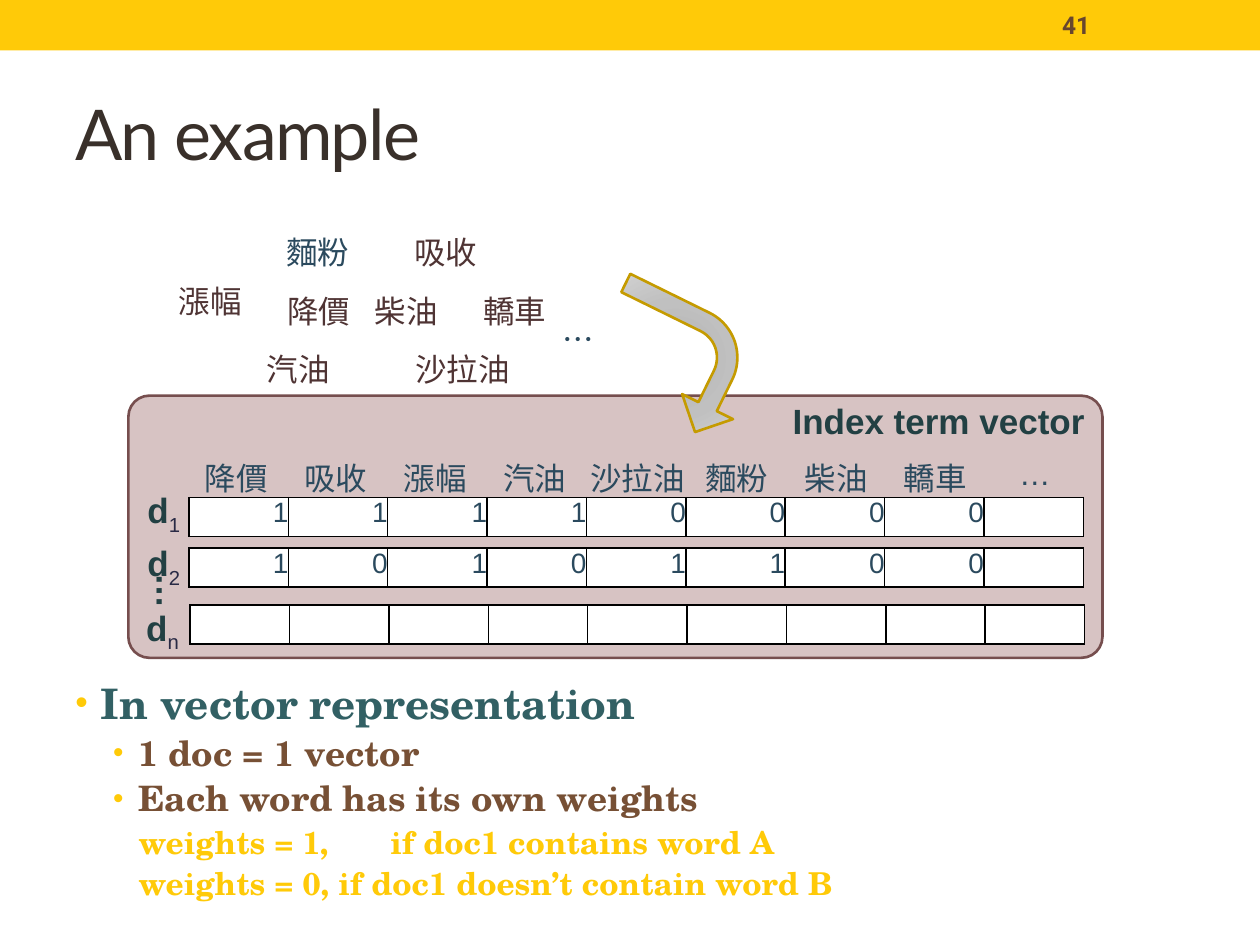
from dataclasses import dataclass
from typing import NamedTuple, Optional

import pptx
import pptx.dml.color
import pptx.enum.shapes
import pptx.enum.text
import pptx.oxml
import pptx.oxml.ns
import pptx.util

Pt = pptx.util.Pt
RGBColor = pptx.dml.color.RGBColor
Align = pptx.enum.text.PP_ALIGN
Anchor = pptx.enum.text.MSO_ANCHOR
Preset = pptx.enum.shapes.MSO_SHAPE
qn = pptx.oxml.ns.qn

GOLD = RGBColor(0xFF, 0xCA, 0x08)
DARK_GOLD = RGBColor(0xC5, 0x9B, 0x00)
TEAL = RGBColor(0x32, 0x60, 0x64)
DARK_TEAL = RGBColor(0x22, 0x40, 0x43)
BROWN = RGBColor(0x77, 0x50, 0x35)
TITLE_BROWN = RGBColor(0x39, 0x30, 0x2A)
NUMBER_BROWN = RGBColor(0x68, 0x46, 0x2E)
WORD_BROWN = RGBColor(0x4F, 0x34, 0x34)
BLUE = RGBColor(0x2B, 0x4A, 0x5E)
NAVY = RGBColor(0x29, 0x2A, 0x45)
ROSE = RGBColor(0xD7, 0xC3, 0xC3)
ROSE_LINE = RGBColor(0x76, 0x4E, 0x4E)
WHITE = RGBColor(0xFF, 0xFF, 0xFF)

ARIAL, CJK, SERIF = "Arial", "Noto Sans CJK SC", "TeX Gyre Schola"
A_NS = 'xmlns:a="http://schemas.openxmlformats.org/drawingml/2006/main"'
PLAIN_TABLE = "{2D5ABB26-0587-4C30-8999-92F81FD0307C}"
COLUMNS, VECTOR_WIDTH = 9, 511.2


class Box(NamedTuple):
    left: float
    top: float
    width: float
    height: float

    def lengths(self):
        return [Pt(value) for value in self]


@dataclass
class Word:
    text: str
    box: Box
    font: str = ARIAL
    color: RGBColor = WORD_BROWN
    align: Align = Align.CENTER


@dataclass
class Point:
    text: str
    size: float
    color: RGBColor
    margin: float = 0
    space_before: float = 0
    bullet: bool = False
    tabs: tuple = ()


@dataclass
class Vector:
    left: float
    top: float
    weights: str
    label: str
    label_left: float
    label_top: float


WORDS = [
    Word("降價", Box(157, 163.4, 51, 29), CJK, align=Align.LEFT),
    Word("吸收", Box(229.7, 129.6, 51, 29), CJK, align=Align.LEFT),
    Word("漲幅", Box(95, 157.7, 51, 29), align=Align.LEFT),
    Word("汽油", Box(145.4, 196.6, 51, 29), align=Align.LEFT),
    Word("沙拉油", Box(229.7, 196.6, 69, 29)),
    Word("麵粉", Box(156.2, 129.6, 51, 29), CJK, BLUE),
    Word("柴油", Box(206.6, 163.4, 51, 29)),
    Word("轎車", Box(268.6, 163.4, 51, 29)),
    Word("…", Box(314.6, 179.3, 29, 29), CJK, BLUE),
]
POINTS = [
    Point("In vector representation", 24, TEAL, 14.4, bullet=True),
    Point("1 doc = 1 vector", 20, BROWN, 36, 2, True),
    Point("Each word has its own weights", 20, BROWN, 36, 2, True),
    Point("\tweights = 1,\tif doc1 contains word A", 18, GOLD, space_before=2.5, tabs=(47.5, 172)),
    Point("\tweights = 0, if doc1 doesn’t contain word B", 18, GOLD, space_before=2, tabs=(46.8,)),
]
TERMS = ["降價 ", "吸收 ", "漲幅 ", "汽油 ", "沙拉油", "麵粉", "柴油", "轎車", "…"]
VECTORS = [
    Vector(108, 284.4, "11110000", "1", 83.5, 279.4),
    Vector(108, 313.2, "10101100", "2", 83.5, 309.6),
    Vector(108.7, 345.6, "", "n", 82.8, 346.3),
]


def write(paragraph, text: str, *, size: float, color: RGBColor, font: str = ARIAL,
          bold: bool = False, tracking: float = 0, baseline: int = 0,
          align: Align = Align.LEFT) -> None:
    """Append formatted text to a paragraph."""
    paragraph.alignment = align
    run = paragraph.add_run()
    run.text = text
    run.font.name, run.font.size, run.font.bold = font, Pt(size), bold
    run.font.color.rgb = color
    properties = run.font._element
    properties.find(qn("a:latin")).addnext(
        pptx.oxml.parse_xml(f'<a:ea {A_NS} typeface="{CJK}"/>'))
    if tracking:
        properties.set("spc", str(int(tracking * 100)))
    if baseline:
        properties.set("baseline", str(baseline * 1000))


def add_frame(slide, box: Box, *, wrap: bool = True, inset: Optional[float] = None,
              anchor: Anchor = Anchor.TOP):
    """Add a text box and return its text frame."""
    frame = slide.shapes.add_textbox(*box.lengths()).text_frame
    frame.word_wrap = wrap
    frame.vertical_anchor = anchor
    if not wrap:
        frame.auto_size = pptx.enum.text.MSO_AUTO_SIZE.SHAPE_TO_FIT_TEXT
    if inset is not None:
        frame.margin_left = frame.margin_right = Pt(inset)
        frame.margin_top = frame.margin_bottom = Pt(inset)
    return frame


def add_panel(slide, preset: Preset, box: Box, fill: Optional[RGBColor],
              line: Optional[RGBColor] = None):
    """Add a preset shape without shadow."""
    panel = slide.shapes.add_shape(preset, *box.lengths())
    panel.shadow.inherit = False
    if fill is None:
        panel.fill.background()
    else:
        panel.fill.solid()
        panel.fill.fore_color.rgb = fill
    if line is None:
        panel.line.fill.background()
    else:
        panel.line.color.rgb = line
        panel.line.width = Pt(1.5)
    return panel


def add_arrow(slide) -> None:
    """Add the bent arrow that leads from the words to the vectors."""
    arrow = add_panel(slide, Preset.BENT_ARROW, Box(353.5, 160.6, 64.8, 89.3), None, DARK_GOLD)
    arrow.rotation = 116.2
    for index, value in enumerate((0.18, 0.25, 0.25, 0.44)):
        arrow.adjustments[index] = value
    stops = "".join(f'<a:gs pos="{position}000"><a:srgbClr val="{color}"/></a:gs>'
                    for position, color in ((0, "B1B1B1"), (45, "C0C0C0"), (100, "DDDDDD")))
    properties = arrow._element.spPr
    properties.replace(properties.find(qn("a:noFill")), pptx.oxml.parse_xml(
        f'<a:gradFill {A_NS}><a:gsLst>{stops}</a:gsLst><a:path path="circle">'
        '<a:fillToRect l="100000" t="100000" r="100000" b="100000"/></a:path></a:gradFill>'))


def add_row(slide, box: Box, texts, *, size: float, align: Align, inset: float = 0,
            anchor: Anchor = Anchor.TOP, boxed: bool = True) -> None:
    """Add a one-row table with equal columns."""
    table_frame = slide.shapes.add_table(1, COLUMNS, *box.lengths())
    table = table_frame.table
    table.first_row = table.horz_banding = False
    table._tbl.tblPr.find(qn("a:tableStyleId")).text = PLAIN_TABLE
    for column in table.columns:
        column.width = Pt(box.width / COLUMNS)
    for index, cell in enumerate(table.rows[0].cells):
        cell.margin_left = cell.margin_right = cell.margin_top = Pt(inset)
        cell.margin_bottom = Pt(0)
        cell.vertical_anchor = anchor
        if boxed:
            for side in "LRTB":
                cell._tc.get_or_add_tcPr().append(pptx.oxml.parse_xml(
                    f'<a:ln{side} {A_NS} w="12700"><a:solidFill><a:srgbClr val="000000"/>'
                    f'</a:solidFill></a:ln{side}>'))
            cell.fill.solid()
            cell.fill.fore_color.rgb = WHITE
        else:
            cell.fill.background()
        if index < len(texts):
            write(cell.text_frame.paragraphs[0], texts[index], size=size, color=BLUE, align=align)


def add_points(slide) -> None:
    """Add the list that explains the vector representation."""
    frame = add_frame(slide, Box(36, 383.5, 644.4, 146))
    for index, point in enumerate(POINTS):
        paragraph = frame.add_paragraph() if index else frame.paragraphs[0]
        properties = paragraph._p.get_or_add_pPr()
        properties.set("marL", str(Pt(point.margin)))
        properties.set("indent", str(Pt(-14.4 if point.bullet else 0)))
        if point.bullet:
            for element in (f'<a:buClr {A_NS}><a:srgbClr val="{GOLD}"/></a:buClr>',
                            f'<a:buSzPct {A_NS} val="85000"/>',
                            f'<a:buFont {A_NS} typeface="{ARIAL}"/>',
                            f'<a:buChar {A_NS} char="•"/>'):
                properties.append(pptx.oxml.parse_xml(element))
        if point.tabs:
            stops = "".join(f'<a:tab pos="{Pt(stop)}" algn="l"/>' for stop in point.tabs)
            properties.append(pptx.oxml.parse_xml(f'<a:tabLst {A_NS}>{stops}</a:tabLst>'))
        if index:
            paragraph.space_before = Pt(point.space_before)
        write(paragraph, point.text, size=point.size, color=point.color, font=SERIF, bold=True)


def main() -> None:
    """Build the slide and save it."""
    deck = pptx.Presentation()
    deck.slide_width, deck.slide_height = Pt(720), Pt(540)
    slide = deck.slides.add_slide(deck.slide_layouts[6])
    add_panel(slide, Preset.RECTANGLE, Box(0, 0, 720, 28.8), GOLD)
    add_points(slide)
    title = add_frame(slide, Box(36, 33.8, 648, 84.2), anchor=Anchor.MIDDLE)
    write(title.paragraphs[0], "An example", size=40, color=TITLE_BROWN, font="Lato", tracking=-1)
    number = add_frame(slide, Box(599.8, 1.4, 84.2, 26), anchor=Anchor.MIDDLE)
    write(number.paragraphs[0], "41", size=14, color=NUMBER_BROWN, font="Roboto", bold=True)

    vector_panel = add_panel(slide, Preset.ROUNDED_RECTANGLE, Box(73.4, 226.1, 556.6, 149.8),
                             ROSE, ROSE_LINE)
    vector_panel.adjustments[0] = 0.08
    heading = add_frame(slide, Box(445, 224.6, 182.9, 31.7), wrap=False)
    strong = dict(size=20, color=DARK_TEAL, bold=True, align=Align.CENTER)
    write(heading.paragraphs[0], "Index term vector", **strong)
    dots = add_frame(slide, Box(89.3, 327.6, 20.2, 24.5), wrap=False, inset=0)
    dots._txBody.bodyPr.set("vert", "eaVert")
    write(dots.paragraphs[0], "…", **strong)

    for word in WORDS:
        frame = add_frame(slide, word.box, wrap=False)
        write(frame.paragraphs[0], word.text, size=18, color=word.color, font=word.font,
              align=word.align)
    add_arrow(slide)
    add_row(slide, Box(108.7, 258.5, VECTOR_WIDTH, 24.5), TERMS, size=18, align=Align.CENTER,
            inset=0.7, anchor=Anchor.MIDDLE, boxed=False)
    for vector in VECTORS:
        label = add_frame(slide, Box(vector.label_left, vector.label_top, 20.2, 24.5),
                          wrap=False, inset=0).paragraphs[0]
        write(label, "d", **strong)
        write(label, vector.label, size=20, color=NAVY, baseline=-25, align=Align.CENTER)
        add_row(slide, Box(vector.left, vector.top, VECTOR_WIDTH, 22.3), vector.weights,
                size=16, align=Align.RIGHT)
    deck.save("out.pptx")


if __name__ == "__main__":
    main()
